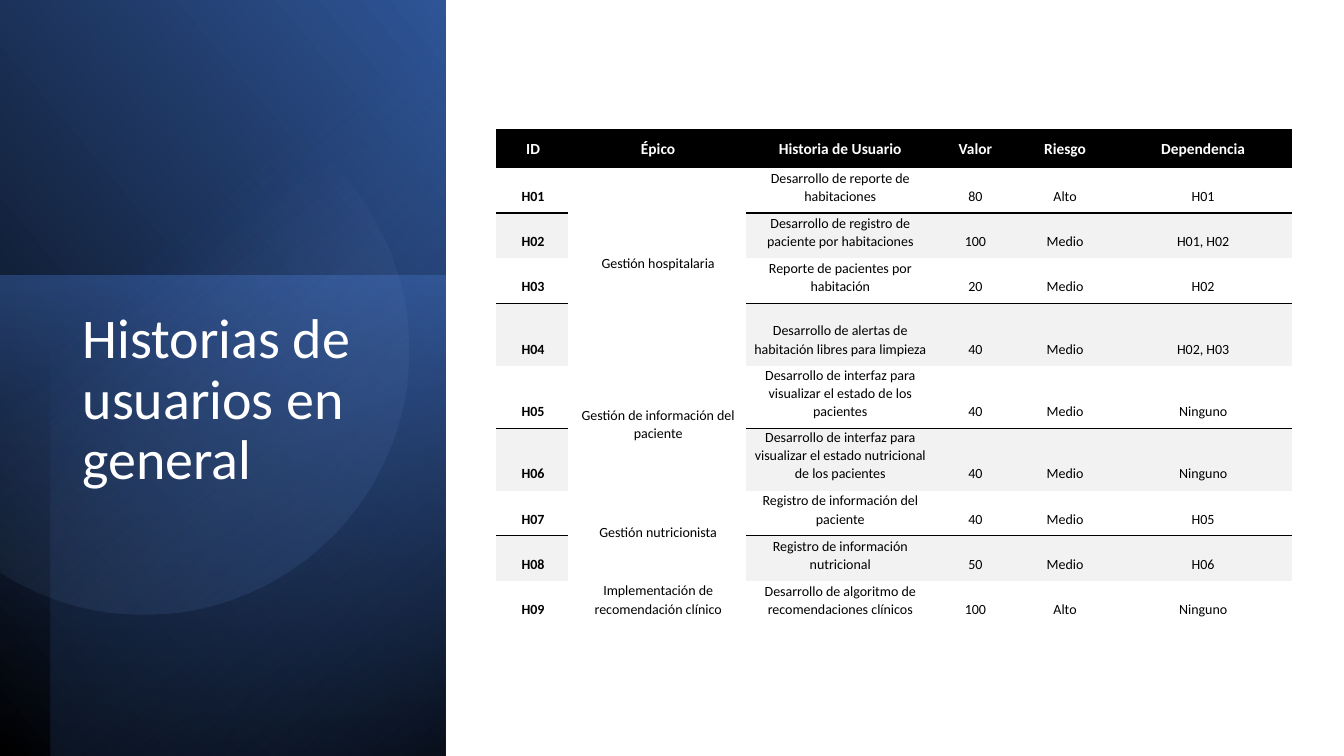
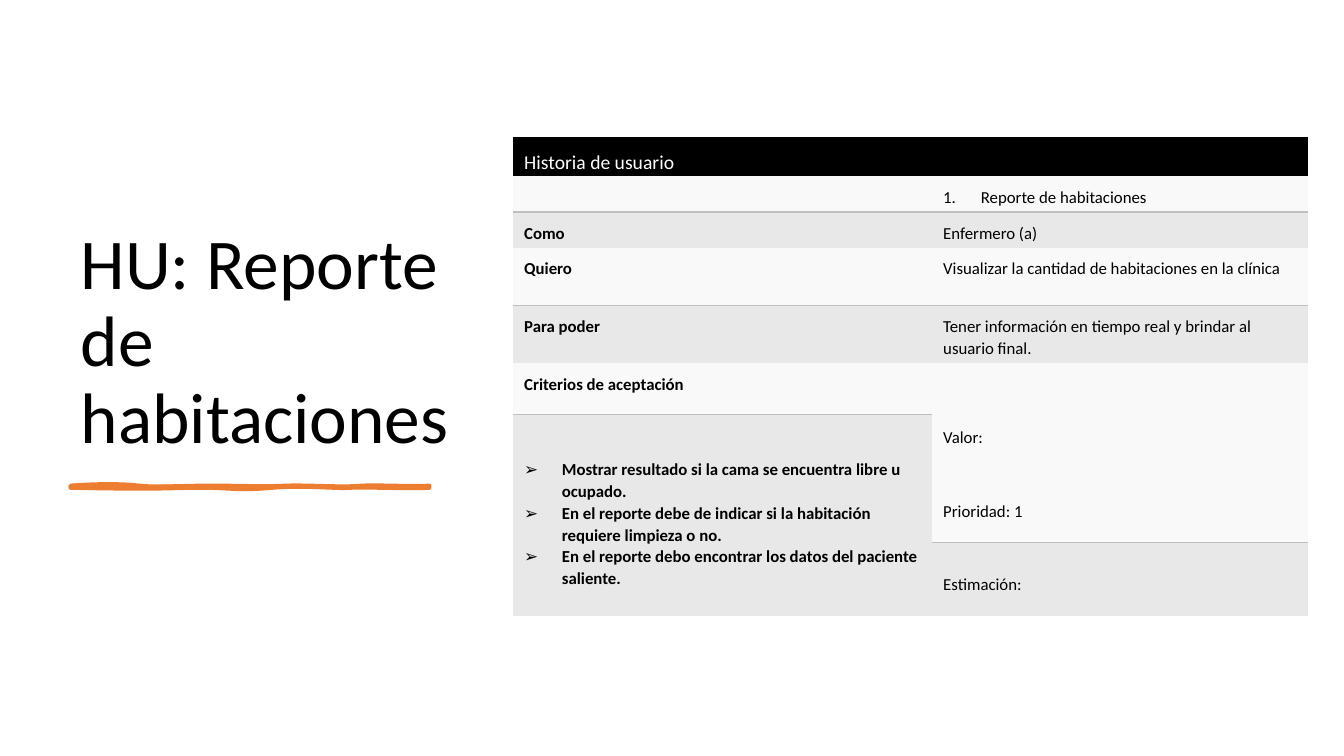
"""Build two slides of user stories: an overview table and one detailed story card."""
from copy import deepcopy
from math import acos, cos, sin, tan

from lxml.etree import SubElement
from pptx import Presentation
from pptx.dml.color import RGBColor
from pptx.enum.shapes import MSO_SHAPE
from pptx.enum.text import MSO_ANCHOR, MSO_AUTO_SIZE, PP_ALIGN
from pptx.oxml.ns import qn
from pptx.util import Cm, Pt

FONT = "Calibri"
COLORS = {
    "black": "000000", "white": "FFFFFF", "blue": "4472C4", "deep": "2F5597",
    "navy": "203864", "pale": "8FAADC", "orange": "ED7D31", "band": "F2F2F2",
    "light": "F9F9F9", "grey": "E8E8E8", "rule": "BFBFBF",
}
NO_GRID_STYLE = "{2D5ABB26-0587-4C30-8999-92F81FD0307C}"
EDGES = ["a:lnL", "a:lnR", "a:lnT", "a:lnB"]

PANELS = [
    ((0, 0, 11.24, 19.05), 320, [(0, "black", 100), (100, "deep", 100)]),
    ((0, 6.95, 11.24, 12.1), 100, [(0, "blue", 50), (100, "navy", 0)]),
    ((1.27, 0, 9.97, 19.05), 230, [(0, "black", 59), (69, "blue", 0)]),
]
CIRCLE = {"x": 3.63, "y": 8.82, "radius": 6.67}
CIRCLE_STOPS = [(39, "pale", 0), (100, "deep", 26)]

STORY_HEADER = ["ID", "Épico", "Historia de Usuario", "Valor", "Riesgo", "Dependencia"]
STORIES = [
    ("H01", "Gestión hospitalaria", "Desarrollo de reporte de habitaciones", "80", "Alto", "H01"),
    ("H02", "", "Desarrollo de registro de paciente por habitaciones", "100", "Medio", "H01, H02"),
    ("H03", "", "Reporte de pacientes por habitación", "20", "Medio", "H02"),
    ("H04", "", "Desarrollo de alertas de habitación libres para limpieza", "40", "Medio", "H02, H03"),
    ("H05", "Gestión de información del paciente",
     "Desarrollo de interfaz para visualizar el estado de los pacientes", "40", "Medio", "Ninguno"),
    ("H06", "", "Desarrollo de interfaz para visualizar el estado nutricional de los pacientes",
     "40", "Medio", "Ninguno"),
    ("H07", "Gestión nutricionista", "Registro de información del paciente", "40", "Medio", "H05"),
    ("H08", "", "Registro de información nutricional", "50", "Medio", "H06"),
    ("H09", "Implementación de recomendación clínico",
     "Desarrollo de algoritmo de recomendaciones clínicos", "100", "Alto", "Ninguno"),
]
STORY_COLUMNS = [1.82, 4.48, 4.7, 2.11, 2.41, 4.55]
STORY_ROWS = [0.98] + [1.14] * 3 + [1.57] * 3 + [1.14] * 3
EPIC_COLUMN = 1
EPIC_SPANS = [(1, 4), (5, 6), (7, 8)]

CRITERIA = [
    "Mostrar resultado si la cama se encuentra libre u ocupado.",
    "En el reporte debe de indicar si la habitación requiere limpieza o no.",
    "En el reporte debo encontrar los datos del paciente saliente.",
]
CARD = [
    ("Historia de usuario", ""),
    ("", "Reporte de habitaciones"),
    ("Como", "Enfermero (a)"),
    ("Quiero", "Visualizar la cantidad de habitaciones en la clínica"),
    ("Para poder", "Tener información en tiempo real y brindar al usuario final."),
    ("Criterios de aceptación", "Valor:"),
    (CRITERIA, ""),
    ("", "Prioridad: 1"),
    ("", "Estimación:"),
]
CARD_COLUMNS = [10.56, 9.47]
CARD_ROWS = [0.99, 0.9, 0.9, 1.45, 1.45, 1.31, 1.37, 1.85, 1.85]
CARD_MERGES = [((0, 0), (0, 1)), ((5, 1), (6, 1)), ((6, 0), (8, 0))]
CARD_BULLETS = {(1, 1): ("a:buAutoNum", {"type": "arabicPeriod"}),
                (6, 0): ("a:buChar", {"char": "➢"})}

STROKE_START = (1.78, 12.24)
STROKE_OUTLINE = [
    (2.46, 12.19, 3.07, 12.19, 3.51, 12.24), (3.94, 12.29, 4.5, 12.24, 5.31, 12.24),
    (6.12, 12.24, 6.6, 12.27, 7.21, 12.24), (7.82, 12.22, 8.61, 12.29, 9.12, 12.24),
    (9.63, 12.22, 10.46, 12.27, 10.82, 12.24), (10.82, 12.27, 10.82, 12.29, 10.82, 12.29),
    (10.36, 12.32, 9.25, 12.27, 8.84, 12.29), (8.43, 12.32, 7.72, 12.22, 6.86, 12.29),
    (5.97, 12.37, 5.87, 12.29, 5.05, 12.29), (4.22, 12.29, 4.22, 12.34, 1.78, 12.29),
    (1.78, 12.29, 1.78, 12.27, 1.78, 12.24),
]
STROKE_FILL = [
    (2.59, 12.29, 2.79, 12.27, 3.51, 12.24), (4.22, 12.22, 4.29, 12.19, 5.05, 12.24),
    (5.79, 12.29, 6.63, 12.27, 7.04, 12.24), (7.44, 12.22, 8.31, 12.32, 8.74, 12.24),
    (9.19, 12.19, 10.08, 12.34, 10.82, 12.24), (10.82, 12.27, 10.82, 12.27, 10.82, 12.29),
    (10.46, 12.29, 9.45, 12.37, 9.02, 12.29), (8.59, 12.24, 7.85, 12.29, 7.04, 12.29),
    (6.2, 12.29, 6.1, 12.27, 5.49, 12.29), (4.9, 12.32, 4.55, 12.27, 3.68, 12.29),
    (2.82, 12.32, 2.34, 12.29, 1.78, 12.29), (1.78, 12.27, 1.78, 12.27, 1.78, 12.24),
]


def rgb(name):
    return RGBColor.from_string(COLORS[name])


def write(text_frame, text, *, size, color="black", bold=False, align=PP_ALIGN.LEFT,
          spacing=1.07, after=0, bullet=None):
    lines = text if isinstance(text, list) else [text]
    for index, line in enumerate(lines):
        paragraph = text_frame.add_paragraph() if index else text_frame.paragraphs[0]
        paragraph.alignment = align
        paragraph.line_spacing = spacing
        paragraph.space_after = Pt(after)
        if bullet:
            tag, attributes = bullet
            properties = paragraph._p.get_or_add_pPr()
            properties.set("marL", str(Cm(0.95)))
            properties.set("indent", str(-Cm(0.95)))
            SubElement(properties, qn("a:buFont"), typeface=FONT)
            SubElement(properties, qn(tag), attributes)
        if line:
            run = paragraph.add_run()
            run.text = line
            run.font.name = FONT
            run.font.size = Pt(size)
            run.font.bold = bold
            run.font.color.rgb = rgb(color)
        else:
            SubElement(paragraph._p, qn("a:endParaRPr"), sz=str(size * 100))


def add_titled_slide(presentation, text, box, size, color, anchor):
    slide = presentation.slides.add_slide(presentation.slide_layouts[5])
    title = slide.shapes.title
    title.left, title.top, title.width, title.height = map(Cm, box)
    frame = title.text_frame
    frame.word_wrap = True
    frame.auto_size = MSO_AUTO_SIZE.NONE
    frame.vertical_anchor = anchor
    write(frame, text, size=size, color=color, spacing=0.9)
    return slide


def set_gradient(shape, stops, angle):
    shape.shadow.inherit = False
    shape.line.fill.background()
    shape.fill.background()
    properties = shape.element.spPr
    placeholder = properties.find(qn("a:noFill"))
    gradient = SubElement(properties, qn("a:gradFill"), rotWithShape="1")
    stop_list = SubElement(gradient, qn("a:gsLst"))
    for position, color, opacity in stops:
        stop = SubElement(stop_list, qn("a:gs"), pos=str(position * 1000))
        value = SubElement(stop, qn("a:srgbClr"), val=COLORS[color])
        SubElement(value, qn("a:alpha"), val=str(opacity * 1000))
    SubElement(gradient, qn("a:lin"), ang=str(int(angle * 60000)), scaled="0")
    properties.replace(placeholder, gradient)


def add_curved_outline(slide, start, curves):
    """Draw a closed outline whose segments are cubic curves."""
    points = [(Cm(curve[i]), Cm(curve[i + 1])) for curve in curves for i in (0, 2, 4)]
    builder = slide.shapes.build_freeform(Cm(start[0]), Cm(start[1]))
    builder.add_line_segments(points, close=True)
    shape = builder.convert_to_shape()
    shape.shadow.inherit = False
    outline = next(shape.element.iter(qn("a:path")))
    lines = outline.findall(qn("a:lnTo"))[:len(points)]
    for index in range(0, len(lines), 3):
        curve = SubElement(outline, qn("a:cubicBezTo"))
        for line in lines[index:index + 3]:
            curve.append(deepcopy(line[0]))
        outline.replace(lines[index], curve)
        for line in lines[index + 1:index + 3]:
            outline.remove(line)
    return shape


def arc_curves(x, y, radius, parts=4):
    limit = acos(-x / radius)
    sweep = 2 * limit / parts
    handle = 4 / 3 * tan(sweep / 4)

    def point(angle, pull=0):
        return (x + radius * (cos(angle) - pull * sin(angle)),
                y + radius * (sin(angle) + pull * cos(angle)))

    angles = [-limit + sweep * part for part in range(parts)]
    curves = [point(a, handle) + point(a + sweep, -handle) + point(a + sweep) for a in angles]
    return point(-limit), curves


def add_plain_table(slide, left, top, columns, rows):
    frame = slide.shapes.add_table(len(rows), len(columns), Cm(left), Cm(top),
                                   Cm(sum(columns)), Cm(sum(rows)))
    next(frame.element.iter(qn("a:tableStyleId"))).text = NO_GRID_STYLE
    table = frame.table
    table.first_row = table.horz_banding = False
    for column, width in zip(table.columns, columns):
        column.width = Cm(width)
    for row, height in zip(table.rows, rows):
        row.height = Cm(height)
    return table


def format_cell(cell, fill, insets, anchor, ruled_edge=None, edge_color="black"):
    cell.margin_left, cell.margin_top, cell.margin_right, cell.margin_bottom = map(Cm, insets)
    cell.vertical_anchor = anchor
    for edge in EDGES:
        line = SubElement(cell._tc.get_or_add_tcPr(), qn(edge), w=str(Pt(1)))
        if edge == ruled_edge:
            solid = SubElement(line, qn("a:solidFill"))
            SubElement(solid, qn("a:srgbClr"), val=COLORS[edge_color])
        else:
            SubElement(line, qn("a:noFill"))
    cell.fill.solid()
    cell.fill.fore_color.rgb = rgb(fill)


def row_edge(row):
    return "a:lnB" if row % 2 else "a:lnT"


def build_overview(presentation):
    slide = add_titled_slide(presentation, "Historias de usuarios en general",
                             (1.83, 7.7, 8, 8.53), 40, "white", MSO_ANCHOR.TOP)
    for box, angle, stops in PANELS:
        panel = slide.shapes.add_shape(MSO_SHAPE.RECTANGLE, *map(Cm, box))
        set_gradient(panel, stops, angle)
    set_gradient(add_curved_outline(slide, *arc_curves(**CIRCLE)), CIRCLE_STOPS, 51.6)
    title = slide.shapes.title.element
    title.getparent().append(title)

    table = add_plain_table(slide, 12.5, 3.25, STORY_COLUMNS, STORY_ROWS)
    for row, values in enumerate([STORY_HEADER] + STORIES):
        header = row == 0
        for column, text in enumerate(values):
            epic = column == EPIC_COLUMN
            fill = "black" if header else "white" if row % 2 or epic else "band"
            plain = header or epic or row == len(STORIES)
            cell = table.cell(row, column)
            format_cell(cell, fill, (0.15, 0.2 if header else 0, 0.1, 0.2),
                        MSO_ANCHOR.MIDDLE if header or epic else MSO_ANCHOR.BOTTOM,
                        None if plain else row_edge(row))
            write(cell.text_frame, text, size=11 if header else 10,
                  color="white" if header else "black", bold=header or column == 0,
                  align=PP_ALIGN.CENTER, after=8)
    for first, last in EPIC_SPANS:
        table.cell(first, EPIC_COLUMN).merge(table.cell(last, EPIC_COLUMN))


def build_card(presentation):
    slide = add_titled_slide(presentation, "HU: Reporte de habitaciones",
                             (1.78, 1.77, 9.93, 9.93), 51, "black", MSO_ANCHOR.BOTTOM)
    outline = add_curved_outline(slide, STROKE_START, STROKE_OUTLINE)
    outline.fill.background()
    outline.line.color.rgb = rgb("orange")
    outline.line.width = Pt(3)
    body = add_curved_outline(slide, STROKE_START, STROKE_FILL)
    body.fill.solid()
    body.fill.fore_color.rgb = rgb("orange")
    body.line.fill.background()

    table = add_plain_table(slide, 12.93, 3.45, CARD_COLUMNS, CARD_ROWS)
    lowered = {(5, 1), (6, 0)}
    merged_right = {(5, 1), (6, 1)}
    for row, values in enumerate(CARD):
        header = row == 0
        for column, text in enumerate(values):
            place = (row, column)
            light = row % 2 or place in merged_right
            middle = header or (column == 1 and row >= 5)
            covered = column == 0 and row > 6
            cell = table.cell(row, column)
            format_cell(cell, "black" if header else "light" if light else "grey",
                        (0.28, 1.09 if place in lowered else 0.25, 0.28, 0),
                        MSO_ANCHOR.MIDDLE if middle else MSO_ANCHOR.TOP,
                        None if header or covered or place in merged_right else row_edge(row),
                        "rule")
            write(cell.text_frame, text, size=14 if header else 12,
                  color="white" if header else "black", bold=column == 0 and not header,
                  after=0 if row > 5 else 8, bullet=CARD_BULLETS.get(place))
    for first, last in CARD_MERGES:
        table.cell(*first).merge(table.cell(*last))


def main():
    presentation = Presentation()
    presentation.slide_width, presentation.slide_height = Cm(33.87), Cm(19.05)
    build_overview(presentation)
    build_card(presentation)
    presentation.save("out.pptx")


if __name__ == "__main__":
    main()
